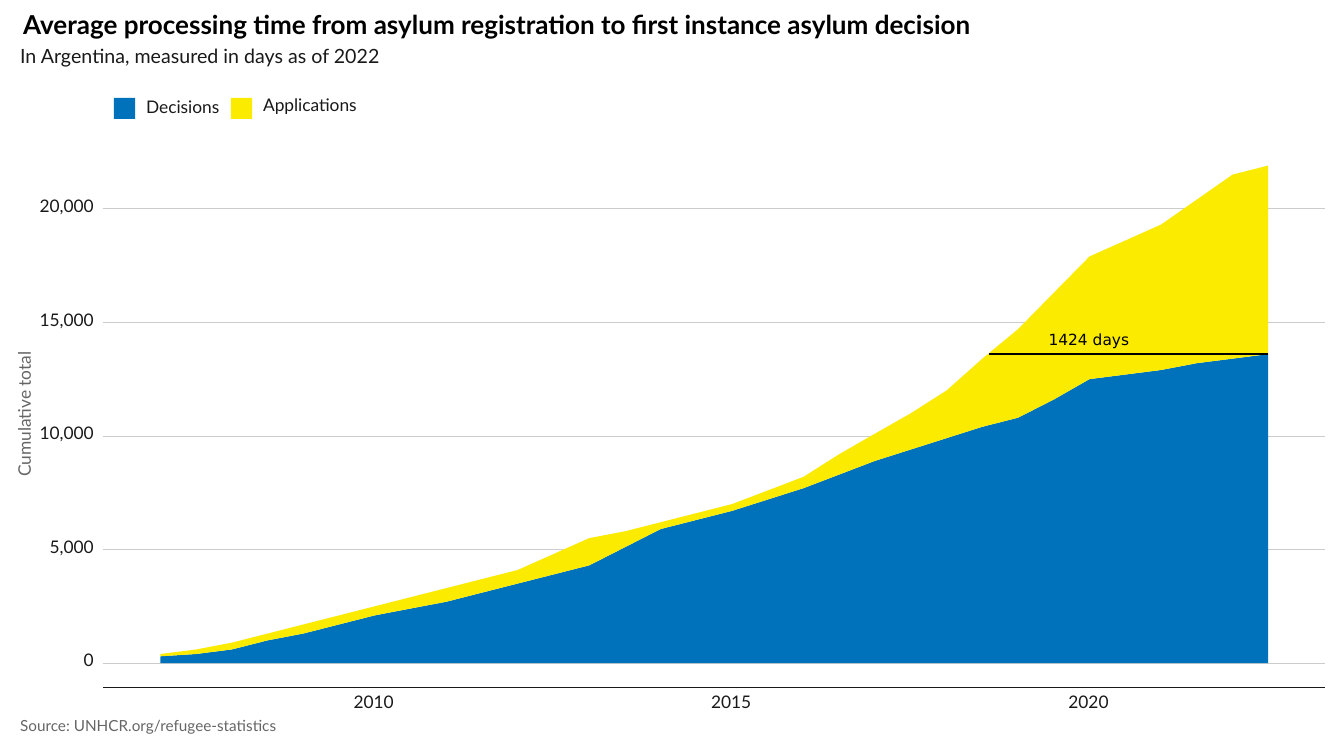
from itertools import chain

from lxml import etree
from pptx import Presentation
from pptx.chart.data import CategoryChartData
from pptx.dml.color import RGBColor
from pptx.enum.chart import XL_CHART_TYPE, XL_TICK_LABEL_POSITION, XL_TICK_MARK
from pptx.enum.shapes import MSO_CONNECTOR, MSO_SHAPE
from pptx.enum.text import MSO_ANCHOR, PP_ALIGN
from pptx.oxml import parse_xml
from pptx.oxml.ns import qn
from pptx.util import Inches, Pt

BLUE, YELLOW, INK, GREY, RULE, BLACK = (
    "0072BC", "FAEB00", "191919", "666666", "CCCCCC", "000000")
FIRST_YEAR, LAST_YEAR = 2007, 2022.5
TOP_VALUE = 22000
NAMESPACES = ('xmlns:c="http://schemas.openxmlformats.org/drawingml/2006/chart" '
              'xmlns:a="http://schemas.openxmlformats.org/drawingml/2006/main"')

# Cumulative totals at the start of each year 2007-2022, then mid-2022
APPLICATIONS = [400, 900, 1700, 2500, 3300, 4100, 5500, 6200, 7000, 8200,
                10100, 12000, 14700, 17900, 19300, 21500, 21900]
DECISIONS = [300, 600, 1300, 2100, 2700, 3500, 4300, 5900, 6700, 7700,
             8900, 9900, 10800, 12500, 12900, 13400, 13600]


def color(hex_code):
    return RGBColor.from_string(hex_code)


def format_text(shape, text, size, hex_code, font="Lato", bold=False,
                align=PP_ALIGN.LEFT):
    frame = shape.text_frame
    frame.margin_left = frame.margin_right = 0
    frame.margin_top = frame.margin_bottom = 0
    frame.word_wrap = False
    frame.vertical_anchor = MSO_ANCHOR.MIDDLE
    paragraph = frame.paragraphs[0]
    paragraph.text = text
    paragraph.alignment = align
    paragraph.line_spacing = Pt(size)
    paragraph.font.size = Pt(size)
    paragraph.font.name = font
    paragraph.font.bold = bold
    paragraph.font.color.rgb = color(hex_code)


def add_label(slide, box, text, size=12.4, hex_code=INK, **style):
    label = slide.shapes.add_textbox(*map(Inches, box))
    format_text(label, text, size, hex_code, **style)
    return label


def add_rule(slide, left, right, y, hex_code, width):
    rule = slide.shapes.add_connector(
        MSO_CONNECTOR.STRAIGHT, Inches(left), Inches(y), Inches(right), Inches(y))
    rule.line.color.rgb = color(hex_code)
    rule.line.width = Pt(width)
    etree.SubElement(rule._element.spPr, qn("a:effectLst"))


def half_yearly(totals):
    """Add rounded midpoints between years; the last total is mid-year already."""
    yearly = totals[:-1]
    midpoints = [round((a + b) / 2, -2) for a, b in zip(yearly, yearly[1:])]
    return list(chain.from_iterable(zip(yearly, midpoints + totals[-1:])))


def add_heading(slide, left, top):
    title = slide.shapes.title
    title.left, title.top = Inches(left + 0.03), Inches(top)
    title.width, title.height = Inches(9.48), Inches(0.24)
    format_text(title, "Average processing time from asylum registration "
                "to first instance asylum decision", 18.6, BLACK, bold=True)
    add_label(slide, (left, top + 0.34, 3.63, 0.18),
              "In Argentina, measured in days as of 2022", 14)


def add_legend(slide, left, top):
    entries = [("Decisions", BLUE, 0, 0.03, 0.73),
               ("Applications", YELLOW, 1.16, 0.01, 0.93)]
    for name, fill, offset, drop, width in entries:
        swatch = slide.shapes.add_shape(
            MSO_SHAPE.RECTANGLE, Inches(left + offset), Inches(top),
            Inches(0.21), Inches(0.21))
        swatch.shadow.inherit = False
        swatch.fill.solid()
        swatch.fill.fore_color.rgb = color(fill)
        swatch.line.fill.background()
        add_label(slide, (left + offset + 0.32, top + drop, width, 0.15), name)


def add_areas(slide, left, top, width, height):
    """Stacked areas filling the box: decisions, then applications beyond them."""
    decided = half_yearly(DECISIONS)
    applied = half_yearly(APPLICATIONS)
    data = CategoryChartData(number_format="#,##0")
    data.categories = [f"{year}{half}" for year in range(FIRST_YEAR, 2023)
                       for half in ("", " mid-year")]
    data.add_series("Decisions", decided)
    data.add_series("Applications", [a - d for a, d in zip(applied, decided)])
    chart = slide.shapes.add_chart(
        XL_CHART_TYPE.AREA_STACKED, *map(Inches, (left, top, width, height)),
        data).chart
    chart.has_legend = chart.has_title = False
    chart.font.name, chart.font.size = "Lato", Pt(12.4)
    chart.font.color.rgb = color(INK)
    for series, fill in zip(chart.plots[0].series, (BLUE, YELLOW)):
        series.format.fill.solid()
        series.format.fill.fore_color.rgb = color(fill)
        series.format.line.fill.background()
    for axis in (chart.category_axis, chart.value_axis):
        axis.has_major_gridlines = False
        axis.major_tick_mark = axis.minor_tick_mark = XL_TICK_MARK.NONE
        axis.tick_label_position = XL_TICK_LABEL_POSITION.NONE
        axis.format.line.fill.background()
    chart.value_axis.minimum_scale = 0
    chart.value_axis.maximum_scale = TOP_VALUE
    for crossing in chart.value_axis._element.findall(qn("c:crossBetween")):
        crossing.set("val", "midCat")

    chart_part = chart._chartSpace.find(qn("c:chart"))
    plot_area = chart_part.find(qn("c:plotArea"))
    for layout in plot_area.findall(qn("c:layout")):
        plot_area.remove(layout)
    places = "".join(f'<c:{key} val="{value}"/>'
                     for key, value in (("x", 0), ("y", 0), ("w", 1), ("h", 1)))
    plot_area.insert(0, parse_xml(
        f'<c:layout {NAMESPACES}><c:manualLayout><c:layoutTarget val="inner"/>'
        f'<c:xMode val="edge"/><c:yMode val="edge"/>{places}'
        '</c:manualLayout></c:layout>'))
    clear = f'<c:spPr {NAMESPACES}><a:noFill/><a:ln><a:noFill/></a:ln></c:spPr>'
    plot_area.append(parse_xml(clear))
    chart_part.addnext(parse_xml(clear))


def add_timeline(slide, left, top, width, height):
    """Grid, areas, axis labels and the waiting-time line; the box is the grid."""
    right, bottom = left + width, top + height
    year_step = 0.709
    first_x = left + 0.57
    last_x = first_x + (LAST_YEAR - FIRST_YEAR) * year_step

    def y_at(total):
        return bottom - height * total / TOP_VALUE

    for total in range(0, 20001, 5000):
        y = y_at(total)
        add_rule(slide, left, right, y, RULE, 0.53)
        add_label(slide, (left - 0.63, y - 0.09, 0.54, 0.15), f"{total:,}",
                  align=PP_ALIGN.RIGHT)

    add_areas(slide, first_x, top, last_x - first_x, height)

    wait_y = y_at(DECISIONS[-1])
    add_rule(slide, 9.81, last_x, wait_y, BLACK, 1.07)
    add_label(slide, (10.4, wait_y - 0.21, 1, 0.15), "1424 days", 11, BLACK,
              font="DejaVu Sans")

    add_rule(slide, left, right, bottom + 0.24, INK, 1.07)
    for year in (2010, 2015, 2020):
        x = first_x + (year - FIRST_YEAR) * year_step
        add_label(slide, (x - 0.21, bottom + 0.33, 0.4, 0.13), str(year),
                  align=PP_ALIGN.CENTER)

    axis_title = add_label(slide, (left - 1.39, 4.04, 1.25, 0.13),
                           "Cumulative total", hex_code=GREY)
    axis_title.rotation = 270


def main():
    deck = Presentation()
    deck.slide_width, deck.slide_height = Inches(13.33), Inches(7.5)
    slide = deck.slides.add_slide(deck.slide_layouts[5])
    add_heading(slide, 0.2, 0.14)
    add_legend(slide, 1.13, 0.97)
    add_timeline(slide, 1.02, 1.62, 12.12, 4.96)
    add_label(slide, (0.2, 7.14, 2.54, 0.14),
              "Source: UNHCR.org/refugee-statistics", 10.9, GREY)
    deck.save("out.pptx")


if __name__ == "__main__":
    main()
